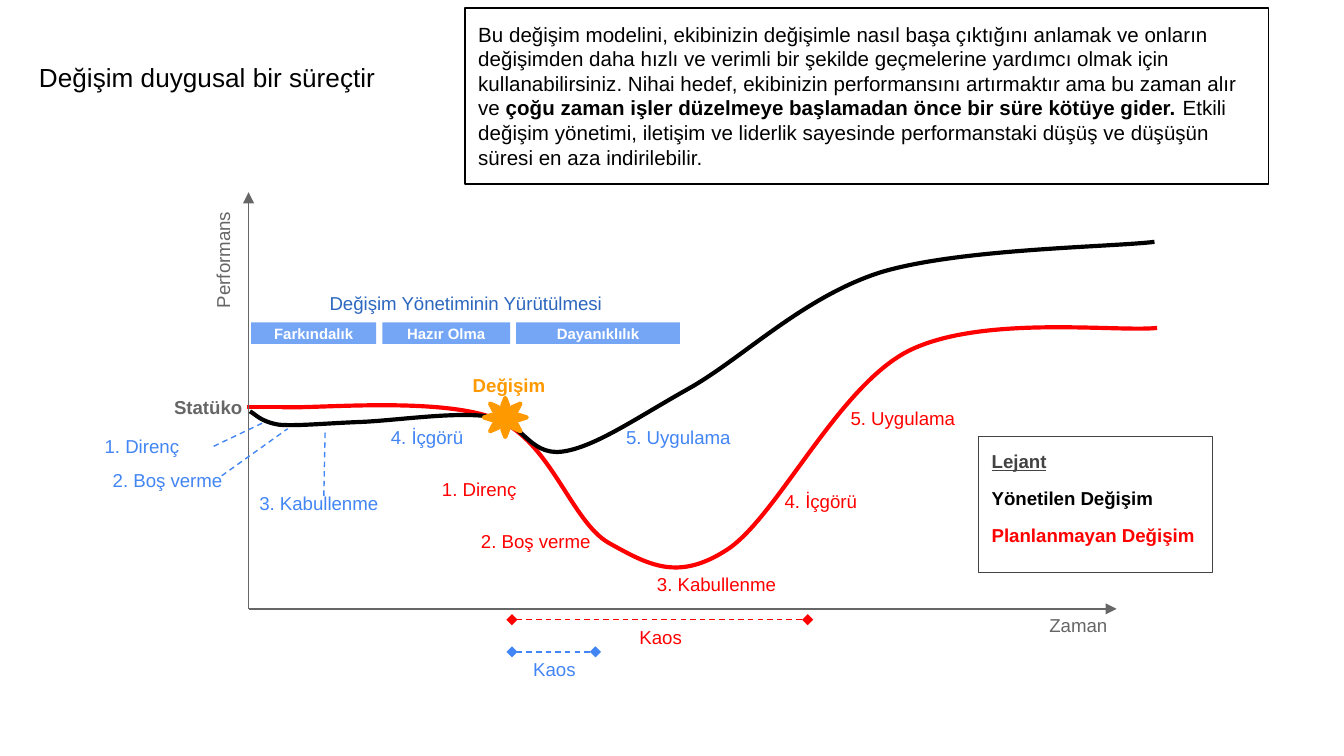
import pptx
import pptx.dml.color
import pptx.enum.dml
import pptx.enum.shapes
import pptx.enum.text
import pptx.oxml
import pptx.oxml.ns
import pptx.util

Pt = pptx.util.Pt
RGBColor = pptx.dml.color.RGBColor
SHAPES = pptx.enum.shapes.MSO_SHAPE
ALIGN = pptx.enum.text.PP_ALIGN
ANCHOR = pptx.enum.text.MSO_ANCHOR
qn = pptx.oxml.ns.qn

BLACK = RGBColor(0, 0, 0)
WHITE = RGBColor(255, 255, 255)
RED = RGBColor(255, 0, 0)
BLUE = RGBColor(0x42, 0x85, 0xF4)
DARK_BLUE = RGBColor(0x2C, 0x66, 0xBF)
ORANGE = RGBColor(0xFF, 0x99, 0)
GREY = RGBColor(0x66, 0x66, 0x66)
DARK_GREY = RGBColor(0x43, 0x43, 0x43)

UNPLANNED_CURVE = [
    (18, 115.2), (37.4, 115.9), (103.7, 109.4), (133.2, 121.7),
    (162, 133.9), (172.8, 176.4), (193, 187.9),
    (213.8, 199.4), (229.7, 208.8), (256.3, 191.5),
    (283, 174.2), (315.4, 104.4), (353.5, 85),
    (392.4, 65.5), (464.4, 74.9), (486.7, 72.7)]
MANAGED_CURVE = [
    (0.7, 117.4), (3.6, 118.8), (6.5, 123.1), (16.6, 124.6),
    (26.6, 125.3), (41, 123.8), (59.8, 123.1),
    (78.5, 122.4), (110.9, 117.4), (128.9, 120.2),
    (146.9, 122.4), (149.8, 141.1), (167.8, 139),
    (185, 136.8), (206.6, 121.7), (234.7, 105.8),
    (263.5, 90), (295.9, 56.9), (337.7, 43.2),
    (379.4, 30.2), (460.8, 29.5), (485.3, 26.6)]


def format_run(run, color, size=10, bold=False):
    run.font.name = "Arial"
    run.font.size = Pt(size)
    run.font.bold = bold
    run.font.color.rgb = color


def set_frame(frame, anchor=ANCHOR.TOP):
    frame.word_wrap = True
    frame.vertical_anchor = anchor
    frame.margin_left = frame.margin_right = Pt(7.2)
    frame.margin_top = frame.margin_bottom = Pt(7.2)


def add_label(slide, text, left, top, width, height, color, bold=False,
              align=ALIGN.LEFT, anchor=ANCHOR.MIDDLE, indent=0):
    shape = slide.shapes.add_textbox(Pt(left), Pt(top), Pt(width), Pt(height))
    set_frame(shape.text_frame, anchor)
    shape.text_frame.text = text
    paragraph = shape.text_frame.paragraphs[0]
    paragraph.alignment = align
    if indent:
        paragraph._p.get_or_add_pPr().set("indent", str(Pt(indent)))
    format_run(paragraph.runs[0], color, bold=bold)
    return shape


def add_line(slide, start, end, color, width=0.75, dashed=False, head=None, tail=None):
    connector = slide.shapes.add_connector(
        pptx.enum.shapes.MSO_CONNECTOR.STRAIGHT, *(Pt(value) for value in start + end))
    connector.line.color.rgb = color
    connector.line.width = Pt(width)
    if dashed:
        connector.line.dash_style = pptx.enum.dml.MSO_LINE.DASH
    outline = connector.line._get_or_add_ln()
    for tag, kind in (("a:headEnd", head), ("a:tailEnd", tail)):
        if kind:
            outline.append(pptx.oxml.parse_xml(
                f'<{tag} {pptx.oxml.ns.nsdecls("a")} type="{kind}"/>'))
    connector._element.spPr.append(pptx.oxml.parse_xml(
        f'<a:effectLst {pptx.oxml.ns.nsdecls("a")}/>'))


def add_box(slide, left, top, width, height, kind=SHAPES.RECTANGLE):
    shape = slide.shapes.add_shape(kind, Pt(left), Pt(top), Pt(width), Pt(height))
    shape.shadow.inherit = False
    return shape


def add_outlined_box(slide, box, color):
    shape = add_box(slide, *box)
    shape.fill.background()
    shape.line.color.rgb = color
    shape.line.width = Pt(0.75)
    set_frame(shape.text_frame)
    return shape


def add_curve(slide, origin, points, bounds, color):
    left, top, width, height = bounds
    builder = slide.shapes.build_freeform(Pt(origin[0] + left), Pt(origin[1] + top))
    builder.add_line_segments(
        [(Pt(origin[0] + left + width), Pt(origin[1] + top + height))], close=False)
    shape = builder.convert_to_shape()
    shape.shadow.inherit = False
    shape.fill.background()
    shape.line.color.rgb = color
    shape.line.width = Pt(2.25)
    geometry = next(shape._element.iter(qn("a:path")))
    for child in list(geometry):
        geometry.remove(child)
    groups = [points[:1]] + [points[i:i + 3] for i in range(1, len(points), 3)]
    for group in groups:
        tag = "a:moveTo" if len(group) == 1 else "a:cubicBezTo"
        marks = "".join(f'<a:pt x="{Pt(x - left)}" y="{Pt(y - top)}"/>' for x, y in group)
        geometry.append(pptx.oxml.parse_xml(
            f'<{tag} {pptx.oxml.ns.nsdecls("a")}>{marks}</{tag}>'))


def add_performance_graph(slide, left, top, width, height):
    def at(x, y):
        return left + x, top + y

    add_curve(slide, (left, top), UNPLANNED_CURVE, (18, 72, 468.7, 128.9), RED)
    add_curve(slide, (left, top), MANAGED_CURVE, (0.7, 26.6, 484.6, 112.3), BLACK)
    add_line(slide, at(37.4, 115.2), at(-0.7, 115.2), RED, 2.25)
    for end in (at(0, 0), at(width, height)):
        add_line(slide, at(0, height), end, GREY, tail="triangle")

    add_label(slide, "Statüko", *at(-84.2, 103), 87.8, 32.4, GREY, True,
              ALIGN.RIGHT, ANCHOR.TOP)
    axis_name = add_label(slide, "Performans", *at(-57.6, 3.6), 97.2, 33.8, GREY,
                          anchor=ANCHOR.TOP)
    axis_name.rotation = 270
    add_label(slide, "Zaman", *at(421.9, 219.6), 60.5, 32.4, GREY, anchor=ANCHOR.TOP)
    add_label(slide, "Değişim", *at(113, 96.5), 64, 13, ORANGE, True)

    for text, x, y in (("1. Direnç", 96.5, 146.9), ("2. Boş verme", 117.4, 175),
                       ("3. Kabullenme", 211.7, 198), ("4. İçgörü", 280.1, 153.4),
                       ("5. Uygulama", 315.4, 108.7)):
        add_label(slide, text, *at(x, y), 103, 32.4, RED, anchor=ANCHOR.TOP)
    for text, x, y, label_width, label_height, indent in (
            ("1. Direnç", -84.2, 128.9, 74.9, 13.7, 0),
            ("2. Boş verme", -79.9, 146.2, 77.8, 15.8, 0),
            ("3. Kabullenme", -19.4, 157, 115.9, 18.7, 18),
            ("4. İçgörü", 51.1, 121.7, 115.9, 18.7, 18),
            ("5. Uygulama", 177.1, 121.7, 115.9, 18.7, 18)):
        add_label(slide, text, *at(x, y), label_width, label_height, BLUE, indent=indent)
    for start, end in (((-18.7, 136.1), (8.6, 123.1)), ((-14.4, 151.9), (20.9, 126.7)),
                       ((40.3, 162.7), (41, 126.7))):
        add_line(slide, at(*start), at(*end), BLUE, dashed=True)

    for color, end, y, label_left, label_width in (
            (RED, 299.5, 229, 169.2, 103), (BLUE, 185.8, 246.2, 129.6, 68.4)):
        add_line(slide, at(141.1, y), at(end, y), color, dashed=True,
                 head="diamond", tail="diamond")
        add_label(slide, "Kaos", *at(label_left, y + 2.2), label_width, 13.7, color,
                  align=ALIGN.CENTER)

    sun = add_box(slide, *at(126, 110.2), 23, 20.9, SHAPES.SUN)
    sun.adjustments[0] = 0.25
    sun.fill.solid()
    sun.fill.fore_color.rgb = ORANGE
    sun.line.color.rgb = ORANGE
    sun.line.width = Pt(2.25)


def add_stage_bars(slide, left, top, width):
    add_label(slide, "Değişim Yönetiminin Yürütülmesi", left, top, width, 13.7,
              DARK_BLUE, align=ALIGN.CENTER)
    stages = (("Farkındalık", 67), ("Hazır Olma", 68.4), ("Dayanıklılık", 87.8))
    gap = (width - sum(size for _, size in stages)) / (len(stages) - 1)
    for text, bar_width in stages:
        bar = add_box(slide, left, top + 17.3, bar_width, 11.5)
        bar.fill.solid()
        bar.fill.fore_color.rgb = BLUE
        fill_color = next(bar._element.spPr.iter(qn("a:srgbClr")))
        fill_color.append(pptx.oxml.parse_xml(
            f'<a:alpha {pptx.oxml.ns.nsdecls("a")} val="73000"/>'))
        bar.line.fill.background()
        set_frame(bar.text_frame, ANCHOR.MIDDLE)
        bar.text_frame.text = text
        paragraph = bar.text_frame.paragraphs[0]
        paragraph.alignment = ALIGN.CENTER
        format_run(paragraph.runs[0], WHITE, 8, True)
        left += bar_width + gap


def add_legend(slide, *box):
    frame = add_outlined_box(slide, box, DARK_GREY).text_frame
    frame.text = "Lejant\nYönetilen Değişim\nPlanlanmayan Değişim"
    for index, (paragraph, color) in enumerate(
            zip(frame.paragraphs, (DARK_GREY, BLACK, RED))):
        paragraph.alignment = ALIGN.LEFT
        paragraph.space_before = Pt(7.8 if index else 0)
        format_run(paragraph.runs[0], color, bold=True)
    frame.paragraphs[0].runs[0].font.underline = True


def add_description(slide, *box):
    frame = add_outlined_box(slide, box, BLACK).text_frame
    paragraph = frame.paragraphs[0]
    paragraph.alignment = ALIGN.LEFT
    for text, bold in (
            ("Bu değişim modelini, ekibinizin değişimle nasıl başa çıktığını anlamak ve onların "
             "değişimden daha hızlı ve verimli bir şekilde geçmelerine yardımcı olmak için "
             "kullanabilirsiniz. Nihai hedef, ekibinizin performansını artırmaktır ama bu zaman "
             "alır ve ", False),
            ("çoğu zaman işler düzelmeye başlamadan önce bir süre kötüye gider.", True),
            (" Etkili değişim yönetimi, iletişim ve liderlik sayesinde performanstaki düşüş ve "
             "düşüşün süresi en aza indirilebilir.", False)):
        run = paragraph.add_run()
        run.text = text
        format_run(run, BLACK, 11, bold)


def set_title(slide, left, top, width, height):
    title = slide.shapes.title
    title.left, title.top, title.width, title.height = map(Pt, (left, top, width, height))
    frame = title.text_frame
    set_frame(frame)
    frame.auto_size = pptx.enum.text.MSO_AUTO_SIZE.NONE
    frame.margin_left = frame.margin_right = frame.margin_bottom = 0
    frame.margin_top = Pt(3.6)
    frame.text = "Değişim duygusal bir süreçtir"
    paragraph = frame.paragraphs[0]
    paragraph.alignment = ALIGN.LEFT
    paragraph.line_spacing = 0.8
    paragraph.space_before = Pt(0)
    format_run(paragraph.runs[0], BLACK, 14)


def main():
    presentation = pptx.Presentation()
    presentation.slide_width, presentation.slide_height = Pt(720), Pt(405)
    slide = presentation.slides.add_slide(presentation.slide_layouts[5])
    set_title(slide, 20.9, 32.4, 677.5, 32.4)
    add_performance_graph(slide, 133.2, 103, 465, 223.2)
    add_stage_bars(slide, 134.6, 155.5, 229.7)
    add_legend(slide, 524.2, 234, 125.3, 72.7)
    add_description(slide, 249.1, 4.3, 430.6, 94.3)
    presentation.save("out.pptx")


if __name__ == "__main__":
    main()
